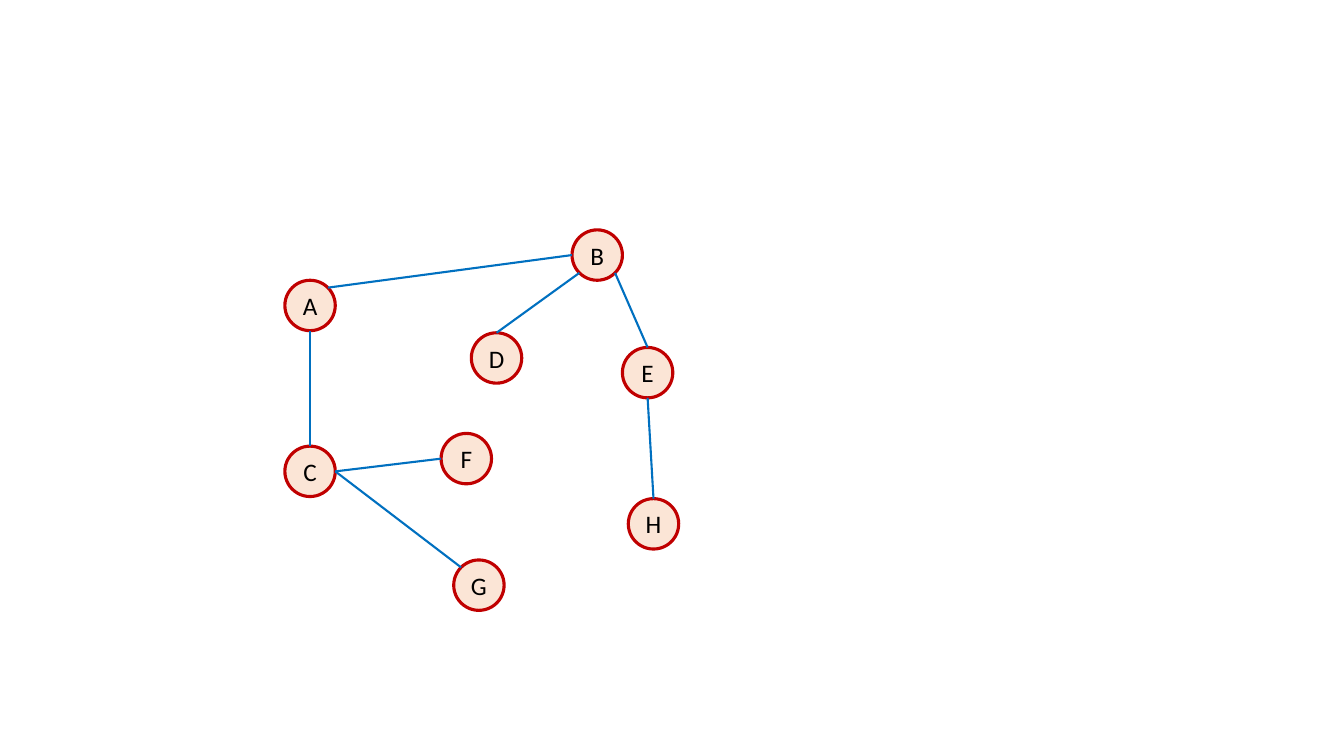
from math import cos, radians, sin

from lxml.etree import SubElement
from pptx import Presentation
from pptx.dml.color import RGBColor
from pptx.enum.shapes import MSO_CONNECTOR, MSO_SHAPE
from pptx.enum.text import MSO_ANCHOR, PP_ALIGN
from pptx.oxml.ns import qn
from pptx.util import Pt


def rgb(value):
    return RGBColor.from_string(value)


def write(s, text, size=18, color="000000", font="Calibri", align=PP_ALIGN.CENTER):
    tf = s.text_frame
    tf.margin_left = tf.margin_right = tf.margin_top = tf.margin_bottom = 0
    tf.vertical_anchor = MSO_ANCHOR.MIDDLE
    p = tf.paragraphs[0]
    p.alignment = align
    r = p.add_run()
    r.text = text
    r.font.size, r.font.name = Pt(size), font
    r.font.color.rgb = rgb(color)


prs = Presentation()
prs.slide_width, prs.slide_height = Pt(960), Pt(540)
slide = prs.slides.add_slide(prs.slide_layouts[6])

# Nodes: left and top of each circle
SIZE = 36
NODES = {
    "A": (203.5, 200.2), "F": (315.1, 309.6), "D": (336.7, 237.7),
    "C": (203.5, 318.7), "E": (444.6, 248.2), "B": (408.6, 164.2),
    "H": (448.8, 356.2), "G": (324.1, 400),
}
circles = {}
for name, (left, top) in NODES.items():
    s = slide.shapes.add_shape(MSO_SHAPE.OVAL, Pt(left), Pt(top), Pt(SIZE), Pt(SIZE))
    s.shadow.inherit = False
    s.fill.solid()
    s.fill.fore_color.rgb = rgb("FBE5D6")
    s.line.color.rgb = rgb("C00000")
    s.line.width = Pt(2.25)
    write(s, name)
    circles[name] = s

# Edges: node and connection site at each end;
# sites run anticlockwise from the top in steps of 45 degrees
TOP, TOP_LEFT, LEFT, BOTTOM_LEFT, BOTTOM, BOTTOM_RIGHT, RIGHT, TOP_RIGHT = range(8)
EDGES = [
    ("A", TOP_RIGHT, "B", LEFT),
    ("A", BOTTOM, "C", TOP),
    ("E", TOP, "B", BOTTOM_RIGHT),
    ("D", TOP, "B", BOTTOM_LEFT),
    ("F", LEFT, "C", RIGHT),
    ("G", TOP_LEFT, "C", RIGHT),
    ("E", BOTTOM, "H", TOP),
]
for start, start_site, end, end_site in EDGES:
    ends = [("a:stCxn", start, start_site), ("a:endCxn", end, end_site)]
    points = []
    for tag, name, site in ends:
        left, top = NODES[name]
        angle = radians(90 + 45 * site)
        points += [Pt(round(left + SIZE / 2 * (1 + cos(angle)), 2)),
                   Pt(round(top + SIZE / 2 * (1 - sin(angle)), 2))]
    s = slide.shapes.add_connector(MSO_CONNECTOR.STRAIGHT, *points)
    s.line.color.rgb = rgb("0070C0")
    s.line.width = Pt(1.5)
    SubElement(s.element.spPr, qn("a:effectLst"))
    # Glue both ends to their circles
    glue = s.element.find(".//" + qn("p:cNvCxnSpPr"))
    for tag, name, site in ends:
        SubElement(glue, qn(tag), id=str(circles[name].shape_id), idx=str(site))

prs.save("out.pptx")
